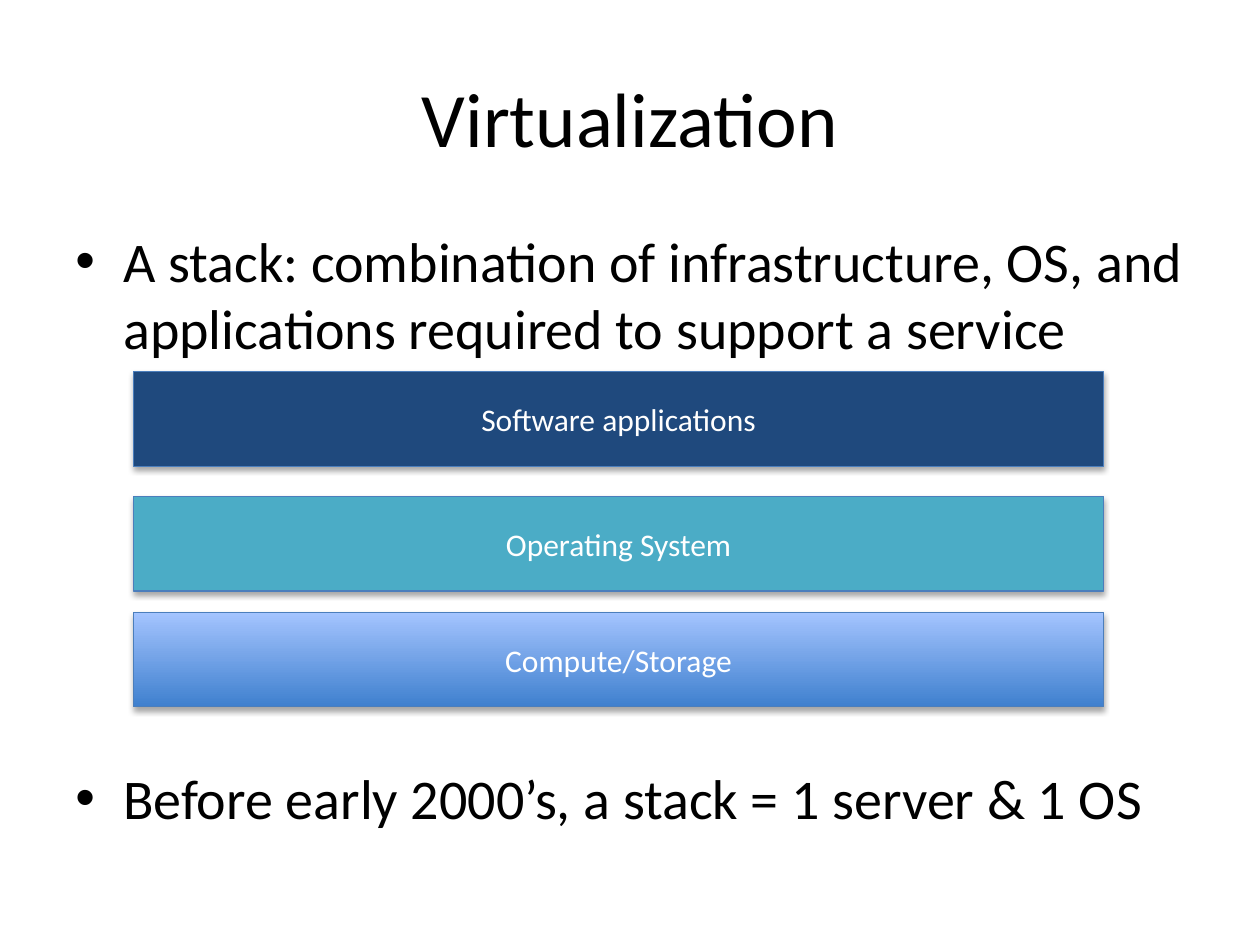
from pptx import Presentation
from pptx.dml.color import RGBColor
from pptx.enum.shapes import MSO_SHAPE
from pptx.enum.text import MSO_ANCHOR, PP_ALIGN
from pptx.oxml import parse_xml
from pptx.oxml.ns import nsdecls
from pptx.util import Inches, Pt
from lxml import etree

RECT = MSO_SHAPE.RECTANGLE
MIDDLE = MSO_ANCHOR.MIDDLE
CENTER = PP_ALIGN.CENTER
BLACK = RGBColor(0, 0, 0)
WHITE = RGBColor(255, 255, 255)
NAVY = RGBColor(0x1F, 0x49, 0x7D)
TEAL = RGBColor(0x4B, 0xAC, 0xC6)
BLUE = RGBColor(0x3F, 0x80, 0xCE)
PALE = RGBColor(0xA4, 0xC4, 0xFF)
EDGE = RGBColor(0x4B, 0x7E, 0xBC)
FONT = "Calibri"

TITLE = "Virtualization"
BULLETS = [
    ("A stack: combination of infrastructure, OS, and applications "
     "required to support a service", 0),
    ("Before early 2000’s, a stack = 1 server & 1 OS", 230),
]
LAYERS = [
    ("Compute/Storage", 4.86, (BLUE, PALE)),
    ("Software applications", 2.95, (NAVY,)),
    ("Operating System", 3.94, (TEAL,)),
]
WIDE, HIGH = 10, 7.5
EDGE_GAP = WIDE / 20
LEFT, BAR_W, BAR_H = 1.06, 7.7, HIGH / 10
SHADOW = (
    f'<a:outerShdw {nsdecls("a")} blurRad="40000" dist="23000" '
    'dir="5400000" rotWithShape="0"><a:srgbClr val="000000">'
    '<a:alpha val="35000"/></a:srgbClr></a:outerShdw>'
)


def style(para, size, color):
    font = para.font
    font.name, font.size = FONT, Pt(size)
    font.color.rgb = color


def add_box(slide, top, high):
    box = slide.shapes.add_textbox(
        Inches(EDGE_GAP), Inches(top), Inches(WIDE - 2 * EDGE_GAP), Inches(high))
    box.text_frame.word_wrap = True
    return box.text_frame


def add_bullet(para):
    props = para._p.get_or_add_pPr()
    props.set("marL", str(Inches(0.38)))
    props.set("indent", str(-Inches(0.38)))
    props.append(parse_xml(f'<a:buFont {nsdecls("a")} typeface="Arial"/>'))
    props.append(parse_xml(f'<a:buChar {nsdecls("a")} char="•"/>'))


def add_layer(group, name, top, colors):
    bar = group.shapes.add_shape(
        RECT, Inches(LEFT), Inches(top), Inches(BAR_W), Inches(BAR_H))
    if len(colors) > 1:
        bar.fill.gradient()
        bar.fill.gradient_angle = 90
        for stop, color in zip(bar.fill.gradient_stops, colors):
            stop.color.rgb = color
    else:
        bar.fill.solid()
        bar.fill.fore_color.rgb = colors[0]
    bar.line.color.rgb = EDGE
    bar.line.width = Pt(0.75)
    bar.shadow.inherit = False
    effects = bar._element.spPr.find(f"{{{etree.QName(bar._element.spPr[0]).namespace}}}effectLst")
    effects.append(parse_xml(SHADOW))
    frame = bar.text_frame
    frame.vertical_anchor = MIDDLE
    para = frame.paragraphs[0]
    para.text, para.alignment = name, CENTER
    style(para, 18, WHITE)


def main():
    deck = Presentation()
    deck.slide_width, deck.slide_height = Inches(WIDE), Inches(HIGH)
    slide = deck.slides.add_slide(deck.slide_layouts[6])

    frame = add_box(slide, 0.3, 1.25)
    frame.vertical_anchor = MIDDLE
    para = frame.paragraphs[0]
    para.text, para.alignment = TITLE, CENTER
    style(para, 44, BLACK)

    frame = add_box(slide, 1.75, 5.38)
    for i, (text, gap) in enumerate(BULLETS):
        para = frame.add_paragraph() if i else frame.paragraphs[0]
        para.text = text
        add_bullet(para)
        if gap:
            para.space_before = Pt(gap)
        style(para, 32, BLACK)

    group = slide.shapes.add_group_shape()
    for layer in LAYERS:
        add_layer(group, *layer)
    deck.save("out.pptx")


if __name__ == "__main__":
    main()
